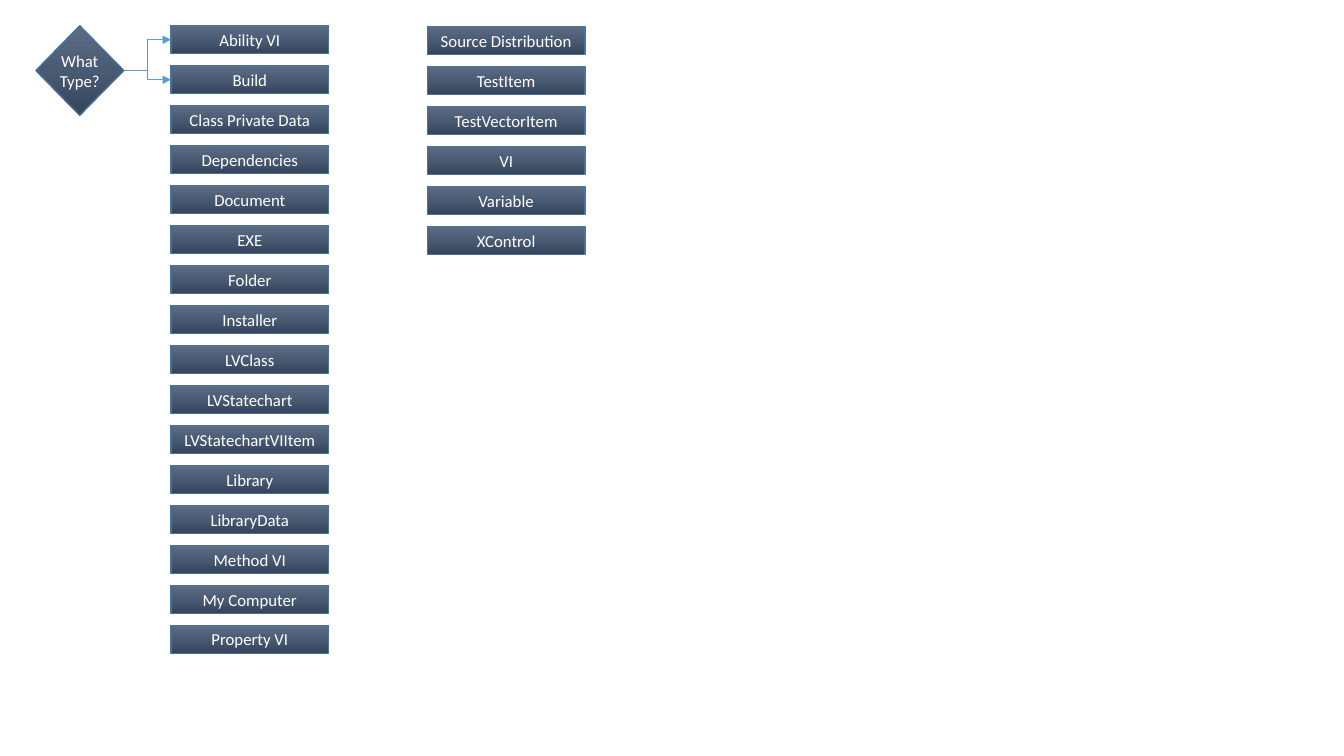
import copy

import pptx
import pptx.dml.color
import pptx.enum.shapes
import pptx.enum.text
import pptx.oxml
import pptx.oxml.ns
import pptx.util

Pt = pptx.util.Pt
RGBColor = pptx.dml.color.RGBColor
SHAPES = pptx.enum.shapes.MSO_SHAPE

GRADIENT = [
    (0, RGBColor(0x5E, 0x6D, 0x85)),
    (0.5, RGBColor(0x49, 0x5A, 0x73)),
    (1, RGBColor(0x35, 0x44, 0x5A)),
]
OUTLINE = RGBColor(0x43, 0x73, 0x9E)
ARROW = RGBColor(0x5B, 0x9B, 0xD5)
WHITE = RGBColor(0xFF, 0xFF, 0xFF)

ROW_PITCH = 28.55
BOX_WIDTH, BOX_HEIGHT = 112.5, 20
COLUMNS = [
    (122.2, 18.4, [
        "Ability VI", "Build", "Class Private Data", "Dependencies",
        "Document", "EXE", "Folder", "Installer", "LVClass", "LVStatechart",
        "LVStatechartVIItem", "Library", "LibraryData", "Method VI",
        "My Computer", "Property VI",
    ]),
    (305.3, 19, [
        "Source Distribution", "TestItem", "TestVectorItem", "VI",
        "Variable", "XControl",
    ]),
]


def add_node(page, kind, left, top, width, height, text):
    """Add a gradient-filled flowchart shape with a centred label."""
    node = page.shapes.add_shape(kind, Pt(left), Pt(top), Pt(width), Pt(height))
    node.shadow.inherit = False
    node.line.color.rgb = OUTLINE
    node.line.width = Pt(1)

    node.fill.gradient()
    node.fill.gradient_angle = 270
    first_stop = node._element.spPr.find(".//" + pptx.oxml.ns.qn("a:gs"))
    first_stop.addnext(copy.deepcopy(first_stop))
    for stop, (position, color) in zip(node.fill.gradient_stops, GRADIENT):
        stop.position = position
        stop.color.rgb = color

    frame = node.text_frame
    frame.margin_left = frame.margin_right = 0
    frame.margin_top = frame.margin_bottom = 0
    frame.word_wrap = True
    frame.vertical_anchor = pptx.enum.text.MSO_ANCHOR.MIDDLE
    para = frame.paragraphs[0]
    para.text = text
    para.alignment = pptx.enum.text.PP_ALIGN.CENTER
    para.font.name = "Calibri"
    para.font.size = Pt(12)
    para.font.color.rgb = WHITE
    return node


def add_arrow(page, source, target):
    """Join the right corner of a decision to the left side of a box."""
    arrow = page.shapes.add_connector(
        pptx.enum.shapes.MSO_CONNECTOR.ELBOW,
        source.left + source.width, source.top + source.height // 2,
        target.left, target.top + target.height // 2)
    arrow.begin_connect(source, 3)
    arrow.end_connect(target, 1)
    arrow.line.color.rgb = ARROW
    arrow.line.width = Pt(0.5)
    namespace = pptx.oxml.ns.nsdecls("a")
    arrow.line._get_or_add_ln().append(
        pptx.oxml.parse_xml(f'<a:tailEnd {namespace} type="triangle"/>'))
    arrow._element.spPr.append(pptx.oxml.parse_xml(f"<a:effectLst {namespace}/>"))


deck = pptx.Presentation()
deck.slide_width, deck.slide_height = Pt(960), Pt(540)
page = deck.slides.add_slide(deck.slide_layouts[6])

decision = add_node(page, SHAPES.FLOWCHART_DECISION, 25.6, 18.4, 62.8, 64, "What Type?")

type_boxes = []
for left, top, labels in COLUMNS:
    for row, label in enumerate(labels):
        type_boxes.append(add_node(
            page, SHAPES.RECTANGLE, left, top + row * ROW_PITCH,
            BOX_WIDTH, BOX_HEIGHT, label))

for box in type_boxes[:2]:
    add_arrow(page, decision, box)

deck.save("out.pptx")
